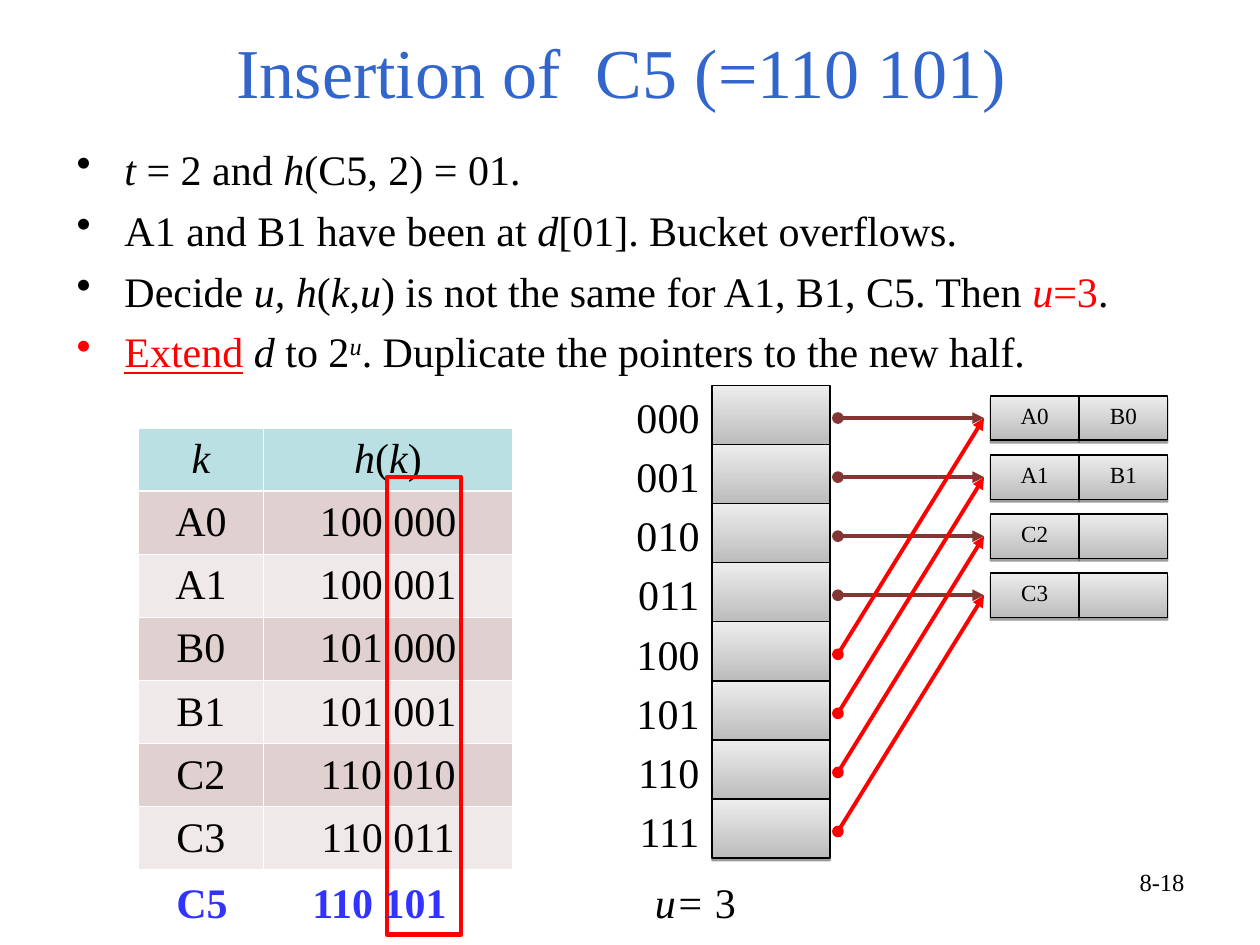
"""Build the slide on inserting C5 into an extendible hash directory."""
from lxml import etree
from pptx import Presentation
from pptx.dml.color import RGBColor
from pptx.enum.shapes import MSO_CONNECTOR, MSO_SHAPE
from pptx.enum.text import MSO_ANCHOR, MSO_AUTO_SIZE, PP_ALIGN
from pptx.oxml.ns import qn
from pptx.util import Inches, Pt

RECTANGLE, STRAIGHT = MSO_SHAPE.RECTANGLE, MSO_CONNECTOR.STRAIGHT
LEFT, CENTER, RIGHT = PP_ALIGN.LEFT, PP_ALIGN.CENTER, PP_ALIGN.RIGHT
MIDDLE, BOTTOM = MSO_ANCHOR.MIDDLE, MSO_ANCHOR.BOTTOM
NO_FIT = MSO_AUTO_SIZE.NONE

THEME = {
    "font": "Times New Roman",
    "title_size": 40, "body_size": 24, "bucket_size": 13.2, "page_size": 14,
    "title": "3366CC", "text": "000000", "accent": "FF0000", "new_key": "3333FF",
    "arrow": "843634", "cell_dark": "BCBCBC", "cell_light": "EDEDED",
    "table_head": "BBE0E3", "table_bands": ("E0D0CF", "F0E9E9"), "table_line": "FFFFFF",
}

deck = Presentation()
deck.slide_width, deck.slide_height = Inches(10), Inches(7.5)
page = deck.slides.add_slide(deck.slide_layouts[5])
shapes = page.shapes


def place(left, top, width, height):
    """Turn percentages of the slide into lengths."""
    across, down = deck.slide_width / 100, deck.slide_height / 100
    return int(left * across), int(top * down), int(width * across), int(height * down)


def write(para, spans, size="body_size", color="text", align=LEFT):
    """Fill a paragraph with (text, marks) spans: i italic, u underline, r red, ^ raised."""
    para.alignment = align
    para.font.name, para.font.size = THEME["font"], Pt(THEME[size])
    para.font.color.rgb = RGBColor.from_string(THEME[color])
    for text, marks in spans:
        span = para.add_run()
        span.text = text
        if "i" in marks:
            span.font.italic = True
        if "u" in marks:
            span.font.underline = True
        if "r" in marks:
            span.font.color.rgb = RGBColor.from_string(THEME["accent"])
        if "^" in marks:
            span.font._element.set("baseline", "30000")


title = shapes.title
title.left, title.top, title.width, title.height = place(5, 4, 90, 9.2)
frame = title.text_frame
frame.auto_size, frame.vertical_anchor, frame.margin_bottom = NO_FIT, BOTTOM, Inches(0.1)
write(frame.paragraphs[0], [("Insertion of  C5 (=110 101) ", "")], "title_size", "title", CENTER)

BULLETS = [
    ("text", [("t", "i"), (" = 2 and ", ""), ("h", "i"), ("(C5, 2) = 01.", "")]),
    ("text", [("A1 and B1 have been at ", ""), ("d", "i"), ("[01]. Bucket overflows.", "")]),
    ("text", [("Decide ", ""), ("u, h", "i"), ("(", ""), ("k", "i"), (",", ""), ("u", "i"),
              (") is not the same for A1, B1, C5. Then ", ""), ("u", "ir"), ("=3", "r"), (".", "")]),
    ("accent", [("Extend", "ur"), (" ", ""), ("d", "i"), (" to 2", ""), ("u", "i^"),
                (". Duplicate the pointers to the new half.", "")]),
]
frame = shapes.add_textbox(*place(5.1, 14.5, 90, 29.7)).text_frame
frame.word_wrap = True
for index, (bullet_color, spans) in enumerate(BULLETS):
    para = frame.add_paragraph() if index else frame.paragraphs[0]
    if index:
        para.space_before = Pt(6)
    props = para._p.get_or_add_pPr()
    props.set("marL", str(Inches(0.38)))
    props.set("indent", str(-Inches(0.38)))
    tint = etree.SubElement(props, qn("a:buClr"))
    etree.SubElement(tint, qn("a:srgbClr"), val=THEME[bullet_color])
    etree.SubElement(props, qn("a:buChar"), char="•")
    write(para, spans)

DIRECTORY_TOP, ROW = 40.8, 6.25
BUCKET_LEFT, BUCKET_WIDTH, BUCKET_HEIGHT, BUCKET_DROP = 78.6, 7.04, 4.68, 1.1
BUCKETS = [("A0", "B0"), ("A1", "B1"), ("C2", ""), ("C3", "")]
SLOTS = 2 * len(BUCKETS)

cells = [(56.5, DIRECTORY_TOP + slot * ROW, 9.38, ROW, "") for slot in range(SLOTS)]
for row, bucket in enumerate(BUCKETS):
    for column, key in enumerate(bucket):
        cells.append((BUCKET_LEFT + column * BUCKET_WIDTH,
                      DIRECTORY_TOP + BUCKET_DROP + row * ROW,
                      BUCKET_WIDTH, BUCKET_HEIGHT, key))

for left, top, width, height, key in cells:
    cell = shapes.add_shape(RECTANGLE, *place(left, top, width, height))
    cell.fill.gradient()
    cell.fill.gradient_angle = 90
    for stop, shade in zip(cell.fill.gradient_stops, ("cell_dark", "cell_light")):
        stop.color.rgb = RGBColor.from_string(THEME[shade])
    cell.line.color.rgb = RGBColor.from_string(THEME["text"])
    cell.line.width = Pt(0.75)
    cell.shadow.inherit = False
    effects = cell._element.spPr.find(qn("a:effectLst"))
    shadow = etree.SubElement(effects, qn("a:outerShdw"), blurRad="0", dist="20000",
                              dir="5400000", rotWithShape="0")
    shade = etree.SubElement(shadow, qn("a:srgbClr"), val=THEME["text"])
    etree.SubElement(shade, qn("a:alpha"), val="38000")
    if key:
        cell.text_frame.vertical_anchor = MIDDLE
        para = cell.text_frame.paragraphs[0]
        para.line_spacing = 0.8
        write(para, [(key, "")], "bucket_size", align=CENTER)

for slot in range(SLOTS):
    label = shapes.add_textbox(*place(44.8, DIRECTORY_TOP + slot * ROW, 11.7, 6.67))
    label.text_frame.word_wrap = True
    write(label.text_frame.paragraphs[0], [(f"{slot:03b}", "")], align=RIGHT)

    middle = DIRECTORY_TOP + BUCKET_DROP + BUCKET_HEIGHT / 2
    target = slot % len(BUCKETS)
    start = place(66.5, middle + slot * ROW, 0, 0)[:2]
    end = place(78.1, middle + target * ROW, 0, 0)[:2]
    pointer = shapes.add_connector(STRAIGHT, *start, *end)
    pointer.line.color.rgb = RGBColor.from_string(THEME["arrow" if slot == target else "accent"])
    pointer.line.width = Pt(2.25)
    outline = pointer.line._get_or_add_ln()
    etree.SubElement(outline, qn("a:headEnd"), type="oval")
    etree.SubElement(outline, qn("a:tailEnd"), type="triangle")
    etree.SubElement(pointer._element.spPr, qn("a:effectLst"))

HASHES = [
    ([("k", "i")], [("h", "i"), ("(", ""), ("k", "i"), (")", "")]),
    *(([(key, "")], [(code, "")]) for key, code in (
        ("A0", "100 000"), ("A1", "100 001"), ("B0", "101 000"),
        ("B1", "101 001"), ("C2", "110 010"), ("C3", "110 011"))),
]
table = shapes.add_table(len(HASHES), 2, *place(11, 45.3, 29.7, 46.69)).table
table.first_row = table.horz_banding = False
table.columns[0].width, table.columns[1].width = Inches(0.99), Inches(1.98)
for row, entries in enumerate(HASHES):
    for column, spans in enumerate(entries):
        cell = table.cell(row, column)
        props = cell._tc.get_or_add_tcPr()
        for side in ("lnL", "lnR", "lnT", "lnB"):
            thick = (row, side) in ((0, "lnB"), (1, "lnT"))
            border = etree.SubElement(props, qn(f"a:{side}"), w=str(Pt(1.47 if thick else 0.45)))
            paint = etree.SubElement(border, qn("a:solidFill"))
            etree.SubElement(paint, qn("a:srgbClr"), val=THEME["table_line"])
        cell.fill.solid()
        band = THEME["table_bands"][(row - 1) % 2] if row else THEME["table_head"]
        cell.fill.fore_color.rgb = RGBColor.from_string(band)
        cell.vertical_anchor = MIDDLE
        write(cell.text_frame.paragraphs[0], spans, align=CENTER)

suffix_frame = shapes.add_shape(RECTANGLE, *place(30.7, 50.5, 5.9, 48.4))
suffix_frame.fill.background()
suffix_frame.line.color.rgb = RGBColor.from_string(THEME["accent"])
suffix_frame.line.width = Pt(2.5)
suffix_frame.shadow.inherit = False

new_key = shapes.add_textbox(*place(12.2, 92.1, 28.4, 6.67)).text_frame
new_key.word_wrap, new_key.margin_left = True, Inches(0.18)
para = new_key.paragraphs[0]
tabs = etree.SubElement(para._p.get_or_add_pPr(), qn("a:tabLst"))
etree.SubElement(tabs, qn("a:tab"), pos=str(Inches(1.08)), algn="l")
write(para, [("C5\t110 101", "")], color="new_key")
para.font.bold = True

depth = shapes.add_textbox(*place(51, 92.1, 21.4, 6.67)).text_frame
depth.word_wrap = True
write(depth.paragraphs[0], [("u=", "i"), (" 3", "")])

number = shapes.add_textbox(*place(71.7, 91.1, 23.3, 6.9)).text_frame
number.word_wrap = True
write(number.paragraphs[0], [("8-18", "")], "page_size", align=RIGHT)

deck.save("out.pptx")
